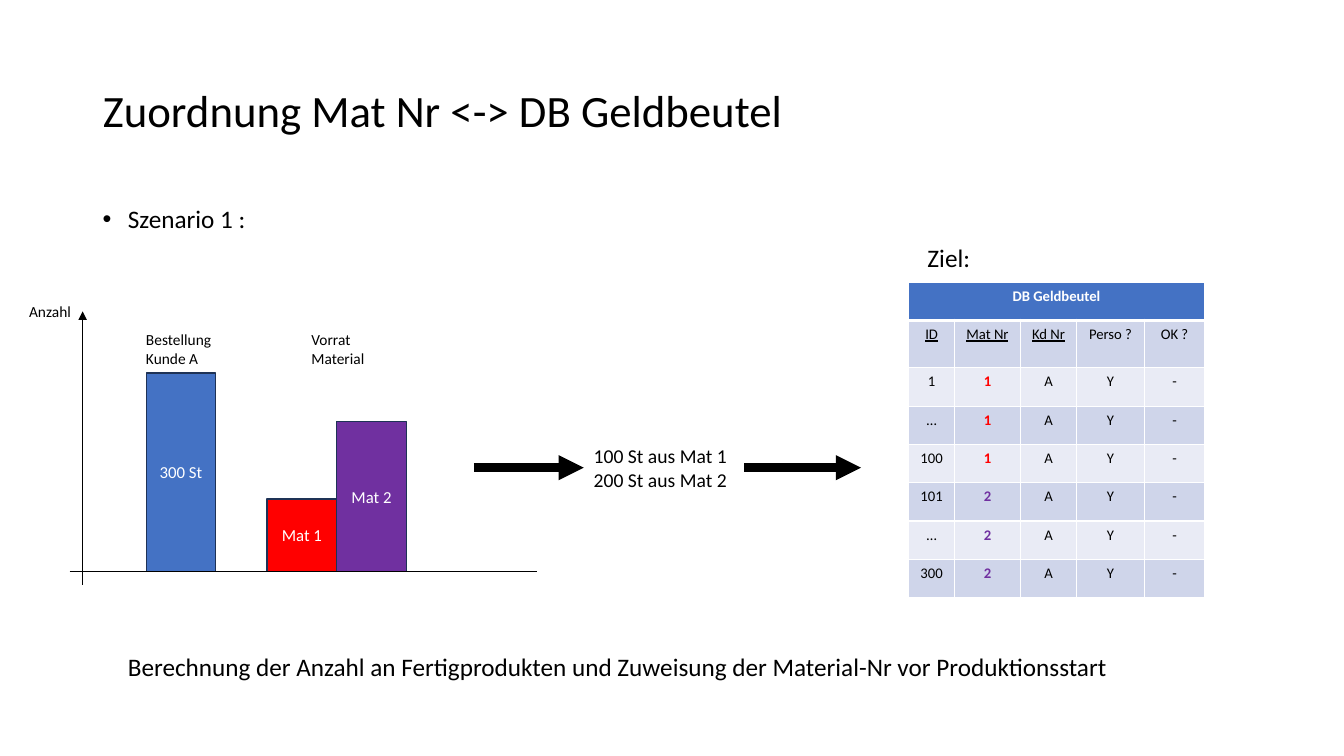
import pptx
import pptx.dml.color
import pptx.enum.shapes
import pptx.enum.text
import pptx.oxml
import pptx.oxml.ns
import pptx.util

EMU_PER_PX = 9144
FONT = "Calibri"
COLORS = {
    "black": "000000",
    "white": "FFFFFF",
    "blue": "4472C4",
    "outline": "1E3256",
    "red": "FF0000",
    "purple": "7030A0",
    "band_dark": "CFD5EA",
    "band_light": "E9EBF5",
}
ALIGN = pptx.enum.text.PP_ALIGN
ANCHOR = pptx.enum.text.MSO_ANCHOR


def px(length):
    return pptx.util.Emu(length * EMU_PER_PX)


def rgb(name):
    return pptx.dml.color.RGBColor.from_string(COLORS[name])


def add_xml(parent, tag, content="", **attributes):
    pairs = "".join(f' {key}="{value}"' for key, value in attributes.items())
    namespace = pptx.oxml.ns.nsdecls("a")
    parent.append(pptx.oxml.parse_xml(f"<a:{tag} {namespace}{pairs}>{content}</a:{tag}>"))


def write(frame, text, size, color="black", bold=False, underline=False,
          align=ALIGN.LEFT, anchor=ANCHOR.TOP, line_spacing=1.0, bullet=False):
    frame.word_wrap = True
    frame.vertical_anchor = anchor
    for index, line in enumerate(text.split("\n")):
        paragraph = frame.add_paragraph() if index else frame.paragraphs[0]
        paragraph.alignment = align
        paragraph.line_spacing = line_spacing
        if bullet:
            properties = paragraph._p.get_or_add_pPr()
            properties.set("marL", str(px(25)))
            properties.set("indent", str(px(-25)))
            add_xml(properties, "buFont", typeface="Arial")
            add_xml(properties, "buChar", char="•")
        run = paragraph.add_run()
        run.text = line
        run.font.name = FONT
        run.font.size = pptx.util.Pt(size)
        run.font.bold = bold
        run.font.underline = underline
        run.font.color.rgb = rgb(color)


def add_text(slide, box, text, **text_format):
    shape = slide.shapes.add_textbox(*map(px, box))
    write(shape.text_frame, text, **text_format)


def add_line(slide, start, end, width, arrow=False):
    connector = slide.shapes.add_connector(
        pptx.enum.shapes.MSO_CONNECTOR.STRAIGHT, *map(px, start + end))
    connector.line.color.rgb = rgb("black")
    connector.line.width = pptx.util.Pt(width)
    if arrow:
        add_xml(connector.line._get_or_add_ln(), "tailEnd", type="triangle")
    add_xml(connector._element.spPr, "effectLst")


def draw_title(slide, box):
    title = slide.shapes.title
    title.left, title.top, title.width, title.height = map(px, box)
    title.text_frame.auto_size = pptx.enum.text.MSO_AUTO_SIZE.NONE
    write(title.text_frame, "Zuordnung Mat Nr <-> DB Geldbeutel", size=32,
          anchor=ANCHOR.MIDDLE, line_spacing=0.9)


def draw_stock_bars(slide, box):
    left, top, width, height = box
    baseline = top + height - 13
    bar_width = 69
    bars = [
        ("300 St", 76, 197, "blue"),
        ("Mat 1", 196, 72, "red"),
        ("Mat 2", 196 + bar_width, 149, "purple"),
    ]
    for label, offset, bar_height, color in bars:
        bar = slide.shapes.add_shape(
            pptx.enum.shapes.MSO_SHAPE.RECTANGLE, px(left + offset),
            px(baseline - bar_height), px(bar_width), px(bar_height))
        bar.shadow.inherit = False
        bar.fill.solid()
        bar.fill.fore_color.rgb = rgb(color)
        bar.line.color.rgb = rgb("outline")
        bar.line.width = pptx.util.Pt(1)
        write(bar.text_frame, label, size=12, color="white",
              align=ALIGN.CENTER, anchor=ANCHOR.MIDDLE)
    for label, offset in [("Bestellung Kunde A", 66), ("Vorrat Material", 230)]:
        add_text(slide, (left + offset, top + 14, 90, 47), label, size=11)
    add_line(slide, (left, baseline), (left + width, baseline), 0.5)
    add_line(slide, (left + 13, top + height), (left + 13, top), 0.5, arrow=True)
    add_text(slide, (left - 50, top - 14, 90, 29), "Anzahl", size=11)


def draw_allocation(slide, box):
    left, top, width, height = box
    middle = top + height // 2
    text_left, text_width = left + 109, 159
    add_text(slide, (text_left, top, text_width, height),
             "100 St aus Mat 1\n200 St aus Mat 2", size=14)
    for start, end in [(left, text_left), (text_left + text_width, left + width)]:
        add_line(slide, (start, middle), (end, middle), 6, arrow=True)


def format_cell(cell, fill, text="", thick_edge=None, **text_format):
    cell.margin_left = cell.margin_right = px(7)
    properties = cell._tc.get_or_add_tcPr()
    white = f'<a:solidFill><a:srgbClr val="{COLORS["white"]}"/></a:solidFill>'
    for edge in ("lnL", "lnR", "lnT", "lnB"):
        points = 3 if edge == thick_edge else 1
        add_xml(properties, edge, white, w=pptx.util.Pt(points))
    cell.fill.solid()
    cell.fill.fore_color.rgb = rgb(fill)
    if text:
        write(cell.text_frame, text, size=10.5, align=ALIGN.CENTER, **text_format)


def draw_target_table(slide, box):
    left, top, width, height = box
    add_text(slide, (left + 9, top - 45, 155, 40), "Ziel:", size=18)
    headings = ["ID", "Mat Nr", "Kd Nr", "Perso ?", "OK ?"]
    key_columns = 3
    materials = {"1": ("red", ["1", "…", "100"]), "2": ("purple", ["101", "…", "300"])}
    records = [(identifier, material, "A", "Y", "-")
               for material, (_, identifiers) in materials.items()
               for identifier in identifiers]
    table = slide.shapes.add_table(
        len(records) + 2, len(headings), *map(px, box)).table
    for column, column_width in zip(table.columns, [46, 65, 56, 67, 60]):
        column.width = px(column_width)
    for index, row in enumerate(table.rows):
        row.height = px(47 if index == 1 else 38)

    table.cell(0, 0).merge(table.cell(0, len(headings) - 1))
    for index, heading in enumerate(headings):
        format_cell(table.cell(0, index), "blue", "" if index else "DB Geldbeutel",
                    thick_edge="lnB", color="white", bold=True)
        format_cell(table.cell(1, index), "band_dark", heading,
                    thick_edge="lnT", underline=index < key_columns)
    for row_index, record in enumerate(records, start=2):
        band = "band_dark" if row_index % 2 else "band_light"
        for index, value in enumerate(record):
            is_material = headings[index] == "Mat Nr"
            color = materials[value][0] if is_material else "black"
            format_cell(table.cell(row_index, index), band, value,
                        color=color, bold=is_material)


def build_slide(presentation):
    slide = presentation.slides.add_slide(presentation.slide_layouts[5])
    draw_title(slide, (92, 40, 1150, 145))
    add_text(slide, (92, 200, 1150, 40), "Szenario 1 :", size=18,
             line_spacing=0.9, bullet=True)
    draw_stock_bars(slide, (69, 309, 464, 271))
    draw_allocation(slide, (470, 436, 384, 57))
    draw_target_table(slide, (901, 280, 294, 313))
    add_text(slide, (117, 641, 1083, 40),
             "Berechnung der Anzahl an Fertigprodukten und Zuweisung "
             "der Material-Nr vor Produktionsstart", size=18)


def main():
    presentation = pptx.Presentation()
    presentation.slide_width = px(1333)
    presentation.slide_height = px(750)
    build_slide(presentation)
    presentation.save("out.pptx")


if __name__ == "__main__":
    main()
